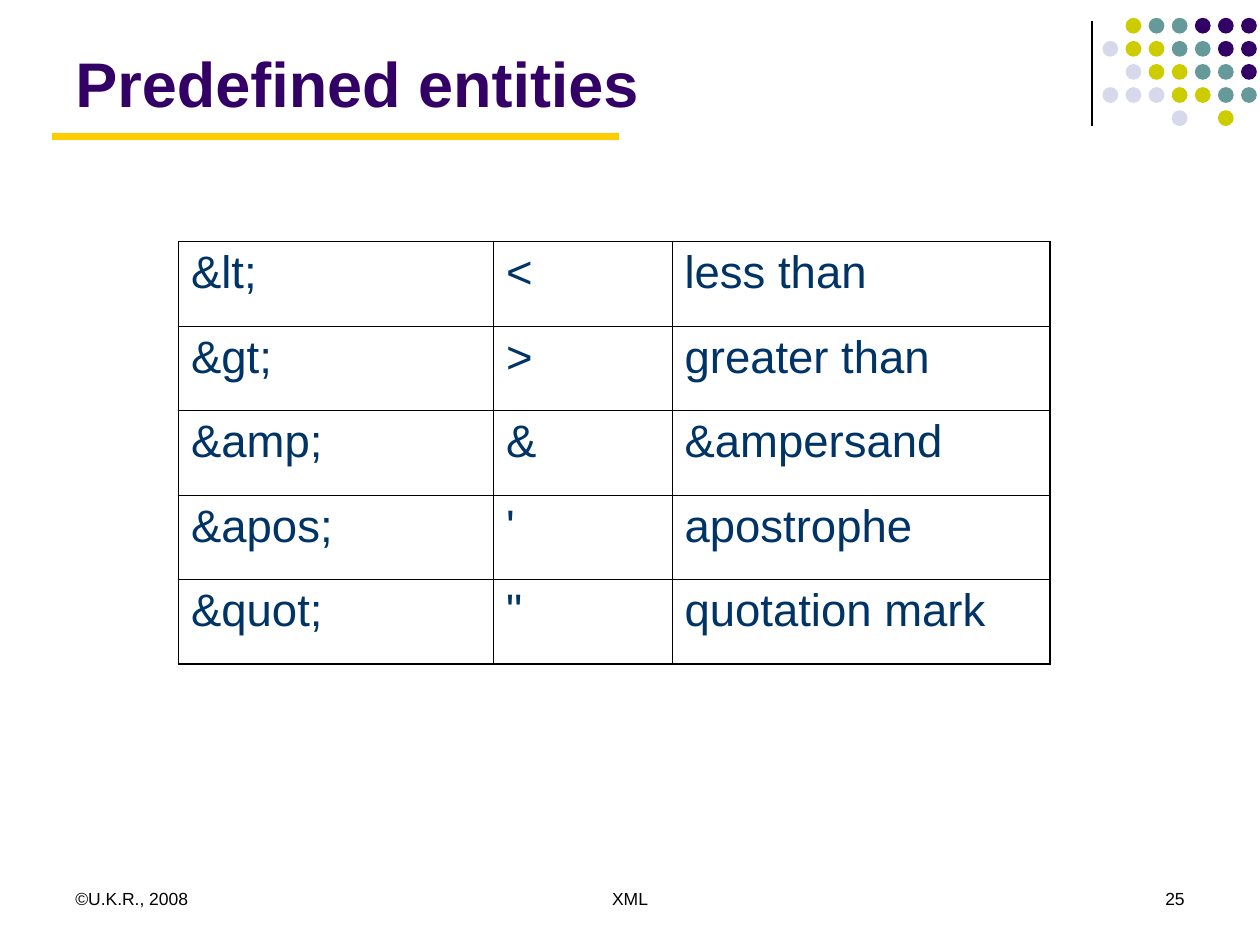
from lxml import etree
from pptx import Presentation
from pptx.dml.color import RGBColor
from pptx.enum.shapes import MSO_CONNECTOR, MSO_SHAPE
from pptx.enum.text import MSO_ANCHOR, PP_ALIGN
from pptx.oxml.ns import qn
from pptx.util import Inches, Pt

STRAIGHT = MSO_CONNECTOR.STRAIGHT
ELLIPSE = MSO_SHAPE.OVAL
TOP, BOTTOM = MSO_ANCHOR.TOP, MSO_ANCHOR.BOTTOM
LEFT, CENTER, RIGHT = PP_ALIGN.LEFT, PP_ALIGN.CENTER, PP_ALIGN.RIGHT

COLORS = {
    "ink": "000000",
    "purple": "330066",
    "teal": "669999",
    "olive": "CCCC00",
    "lavender": "D8D8EC",
    "gold": "FFCC00",
    "navy": "003366",
}
DOT_COLORS = {"P": "purple", "T": "teal", "O": "olive", "L": "lavender"}
DOT_ROWS = [".OTTPPP", "LOOTTPP", ".LOOTTP", "LLLOOTT", "...L.O."]
ENTITIES = [
    ("&lt;", "<", "less than"),
    ("&gt;", ">", "greater than"),
    ("&amp;", "&", "&ampersand"),
    ("&apos;", "'", "apostrophe"),
    ("&quot;", '"', "quotation mark"),
]
FOOTER = [
    ("©U.K.R., 2008", 6, 28, LEFT),
    ("XML", 41, 38, CENTER),
    ("25", 86, 28, RIGHT),
]
GRID_COLUMNS, GRID_ROWS = 120, 90
THIN, THICK = 0.45, 1.08


def color(name):
    return RGBColor.from_string(COLORS[name])


def write(frame, text, size=10, ink="ink", bold=False, align=LEFT, anchor=TOP):
    frame.word_wrap = True
    frame.vertical_anchor = anchor
    para = frame.paragraphs[0]
    para.alignment = align
    span = para.add_run()
    span.text = text
    span.font.name = "Arial"
    span.font.size = Pt(size)
    span.font.bold = bold
    span.font.color.rgb = color(ink)


def border_cell(cell, widths):
    properties = cell._tc.get_or_add_tcPr()
    for index, (side, width) in enumerate(widths.items()):
        line = etree.Element(qn(f"a:ln{side}"), w=str(Pt(width)))
        fill = etree.SubElement(line, qn("a:solidFill"))
        etree.SubElement(fill, qn("a:srgbClr"), val=COLORS["ink"])
        properties.insert(index, line)


class Painter:
    def __init__(self, deck):
        self.page = deck.slides.add_slide(deck.slide_layouts[6])
        self.column = deck.slide_width / GRID_COLUMNS
        self.row = deck.slide_height / GRID_ROWS

    def place(self, *lengths):
        units = (self.column, self.row) * 2
        return [round(length * unit) for length, unit in zip(lengths, units)]

    def text(self, text, area, **style):
        box = self.page.shapes.add_textbox(*self.place(*area))
        write(box.text_frame, text, **style)

    def line(self, start, end, ink, width):
        line = self.page.shapes.add_connector(STRAIGHT, *self.place(*start, *end))
        line.line.color.rgb = color(ink)
        line.line.width = Pt(width)
        etree.SubElement(line._element.spPr, qn("a:effectLst"))

    def dots(self, left, top, step, size):
        group = self.page.shapes.add_group_shape()
        for row, pattern in enumerate(DOT_ROWS):
            for column, key in enumerate(pattern):
                if key not in DOT_COLORS:
                    continue
                area = (left + column * step, top + row * step, size, size)
                dot = group.shapes.add_shape(ELLIPSE, *self.place(*area))
                dot.shadow.inherit = False
                dot.fill.solid()
                dot.fill.fore_color.rgb = color(DOT_COLORS[key])
                dot.line.fill.background()

    def table(self, content, left, top, widths, height, **style):
        last_row, last_column = len(content) - 1, len(widths) - 1
        area = self.place(left, top, sum(widths), height * len(content))
        table = self.page.shapes.add_table(len(content), len(widths), *area).table
        table.first_row = table.horz_banding = False
        for column, width in zip(table.columns, widths):
            column.width = round(width * self.column)
        for row, texts in enumerate(content):
            for column, text in enumerate(texts):
                cell = table.cell(row, column)
                write(cell.text_frame, text, **style)
                cell.fill.background()
                border_cell(cell, {
                    "L": THICK if column == 0 else THIN,
                    "R": THICK if column == last_column else THIN,
                    "T": THICK if row == 0 else THIN,
                    "B": THICK if row == last_row else THIN,
                })


def main():
    deck = Presentation()
    deck.slide_width, deck.slide_height = Inches(10), Inches(7.5)
    painter = Painter(deck)
    painter.line((104, 2), (104, 12), "ink", 0.75)
    painter.dots(105, 1.7, 2.2, 1.5)
    painter.line((5, 13), (59, 13), "gold", 4)
    for text, left, width, align in FOOTER:
        painter.text(text, (left, 84, width, 6), align=align)
    painter.text("Predefined entities", (6, 1.5, 99, 10.5),
                 size=36, ink="purple", bold=True, anchor=BOTTOM)
    painter.table(ENTITIES, 17, 23, (30, 17, 36), 8.05, size=26, ink="navy")
    deck.save("out.pptx")


if __name__ == "__main__":
    main()
